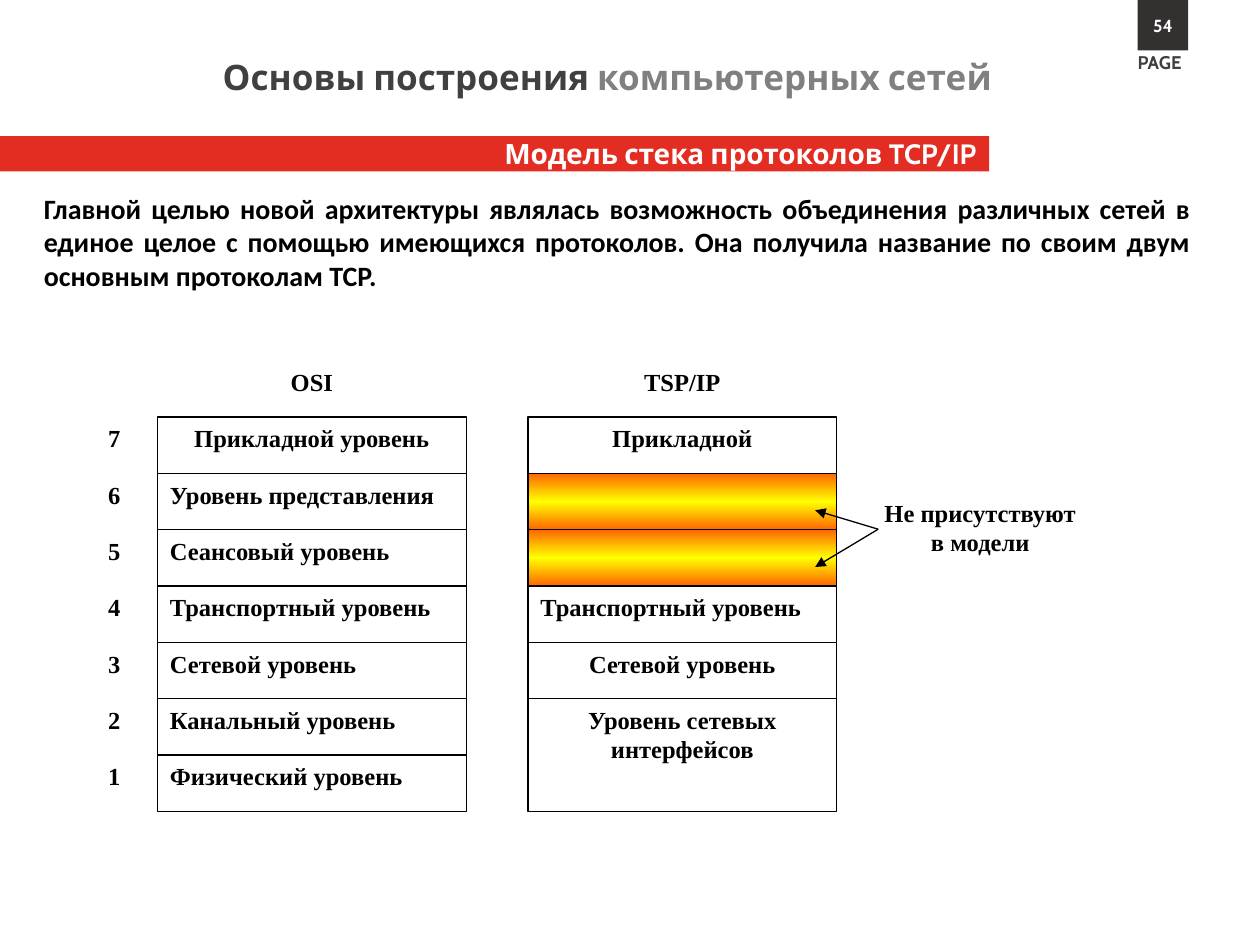
import copy
from dataclasses import dataclass
from typing import Optional

import pptx
import pptx.dml.color
import pptx.enum.shapes
import pptx.enum.text
import pptx.oxml
import pptx.oxml.ns
import pptx.util

Inches = pptx.util.Inches
Pt = pptx.util.Pt
RGB = pptx.dml.color.RGBColor.from_string
Align = pptx.enum.text.PP_ALIGN
Anchor = pptx.enum.text.MSO_ANCHOR
Fit = pptx.enum.text.MSO_AUTO_SIZE
qn = pptx.oxml.ns.qn


@dataclass(frozen=True)
class Theme:
    brand: str = "Cabin"
    body: str = "Calibri"
    chart: str = "Times New Roman"
    red: str = "E32C22"
    ink: str = "333030"
    dark: str = "404040"
    gray: str = "808080"
    white: str = "FFFFFF"
    black: str = "000000"
    orange: str = "FF6600"
    yellow: str = "FFFF00"
    title: float = 20
    lead: float = 16
    label: float = 14
    page: float = 10.5
    count: float = 10
    line: float = 0.75


@dataclass(frozen=True)
class Box:
    left: float
    top: float
    width: float
    height: float


@dataclass(frozen=True)
class Run:
    text: str
    size: float
    font: str
    color: str


@dataclass(frozen=True)
class Layer:
    """A level of a protocol stack; one without text is absent."""
    text: str
    align: Align = Align.LEFT
    rows: int = 1


T = Theme()
TOP, END = 3.31, 6.44
COUNT = 7
ROW = (END - TOP) / COUNT
WIDE = 2.45
HEAD = 1.14

OSI = [
    Layer("Прикладной уровень", Align.CENTER),
    Layer("Уровень представления"),
    Layer("Сеансовый уровень"),
    Layer("Транспортный уровень"),
    Layer("Сетевой уровень"),
    Layer("Канальный уровень"),
    Layer("Физический уровень"),
]
TCP = [
    Layer("Прикладной", Align.CENTER),
    Layer(""),
    Layer(""),
    Layer("Транспортный уровень"),
    Layer("Сетевой уровень", Align.CENTER),
    Layer("Уровень сетевых интерфейсов", Align.CENTER, 2),
]


def place(box: Box) -> tuple:
    return tuple(Inches(v) for v in (box.left, box.top, box.width, box.height))


def write(shape, lines: list[list[Run]], align: Align, anchor: Anchor = Anchor.TOP) -> None:
    frame = shape.text_frame
    frame.word_wrap = True
    frame.vertical_anchor = anchor
    for i, runs in enumerate(lines):
        para = frame.add_paragraph() if i else frame.paragraphs[0]
        para.alignment = align
        for item in runs:
            run = para.add_run()
            run.text = item.text
            run.font.size = Pt(item.size)
            run.font.name = item.font
            run.font.bold = True
            run.font.color.rgb = RGB(item.color)


def add_text(slide, box: Box, lines: list[list[Run]], align: Align = Align.LEFT,
             grow: bool = False):
    shape = slide.shapes.add_textbox(*place(box))
    write(shape, lines, align)
    if grow:
        shape.text_frame.auto_size = Fit.SHAPE_TO_FIT_TEXT
    return shape


def add_rect(slide, box: Box, fill: str, line: Optional[str] = None):
    shape = slide.shapes.add_shape(pptx.enum.shapes.MSO_SHAPE.RECTANGLE, *place(box))
    shape.shadow.inherit = False
    shape.fill.solid()
    shape.fill.fore_color.rgb = RGB(fill)
    if line:
        shape.line.color.rgb = RGB(line)
        shape.line.width = Pt(T.line)
    else:
        shape.line.fill.background()
    return shape


def blend(shape) -> None:
    """Fill with orange at both edges and yellow in the middle."""
    shape.fill.gradient()
    shape.fill.gradient_angle = 270
    stops = shape.element.spPr.find(".//" + qn("a:gsLst"))
    stops.append(copy.deepcopy(stops[0]))
    colors = (T.orange, T.yellow, T.orange)
    for stop, spot, color in zip(shape.fill.gradient_stops, (0, 0.5, 1), colors):
        stop.position = spot
        stop.color.rgb = RGB(color)


def label(text: str) -> list[Run]:
    return [Run(text, T.label, T.chart, T.black)]


def add_stack(slide, left: float, name: str, layers: list[Layer]) -> None:
    head = Box(left + (WIDE - HEAD) / 2, TOP - ROW, HEAD, ROW)
    add_text(slide, head, [label(name)], Align.CENTER)
    row = 0
    for layer in layers:
        box = Box(left, TOP + row * ROW, WIDE, layer.rows * ROW)
        shape = add_rect(slide, box, T.white, T.black)
        if layer.text:
            write(shape, [label(layer.text)], layer.align)
        else:
            blend(shape)
        row += layer.rows


def add_arrow(slide, start: tuple[float, float], end: tuple[float, float]) -> None:
    kind = pptx.enum.shapes.MSO_CONNECTOR.STRAIGHT
    arrow = slide.shapes.add_connector(kind, *(Inches(v) for v in start + end))
    arrow.line.color.rgb = RGB(T.black)
    arrow.line.width = Pt(T.line)
    tip = pptx.oxml.parse_xml(
        f'<a:tailEnd {pptx.oxml.ns.nsdecls("a")} type="triangle"/>')
    arrow.line._get_or_add_ln().append(tip)
    spot = arrow.element.spPr
    spot.append(pptx.oxml.parse_xml(f'<a:effectLst {pptx.oxml.ns.nsdecls("a")}/>'))


def main() -> None:
    deck = pptx.Presentation()
    deck.slide_width, deck.slide_height = Inches(10), Inches(7.5)
    slide = deck.slides.add_slide(deck.slide_layouts[6])

    band = add_rect(slide, Box(0, 1.08, 7.85, 0.28), T.red)
    write(band, [[Run("Модель стека протоколов TCP/IP", T.lead, T.brand, T.white)]],
          Align.RIGHT, Anchor.MIDDLE)
    page = add_text(slide, Box(8.93, 0.36, 0.59, 0.28),
                    [[Run("PAGE", T.page, T.brand, T.dark)]], grow=True)
    page.text_frame.word_wrap = False
    badge = add_rect(slide, Box(9.03, 0, 0.4, 0.4), T.ink)
    write(badge, [[Run("54", T.count, T.brand, T.white)]], Align.CENTER, Anchor.MIDDLE)
    badge.text_frame.margin_left = badge.text_frame.margin_right = 0

    add_text(slide, Box(0.15, 0.39, 7.82, 0.44),
             [[Run("Основы построения ", T.title, T.brand, T.dark),
               Run("компьютерных сетей", T.title, T.brand, T.gray)]], Align.RIGHT, True)
    lead = ("Главной целью новой архитектуры являлась возможность объединения "
            "различных сетей в единое целое с помощью имеющихся протоколов. "
            "Она получила название по своим двум основным протоколам TCP.")
    add_text(slide, Box(0.25, 1.47, 9.3, 0.91),
             [[Run(lead, T.lead, T.body, T.black)]], Align.JUSTIFY, True)

    for i in range(COUNT):
        add_text(slide, Box(0.76, TOP + i * ROW, 0.49, ROW), [label(str(COUNT - i))])
    add_stack(slide, 1.25, "OSI", OSI)
    add_stack(slide, 4.19, "TSP/IP", TCP)

    add_text(slide, Box(6.8, 3.9, 1.96, 0.75),
             [label("Не присутствуют"), label("в модели")], Align.CENTER)
    for end in (4.05, 4.5):
        add_arrow(slide, (6.97, 4.2), (6.47, end))

    deck.save("out.pptx")


if __name__ == "__main__":
    main()
